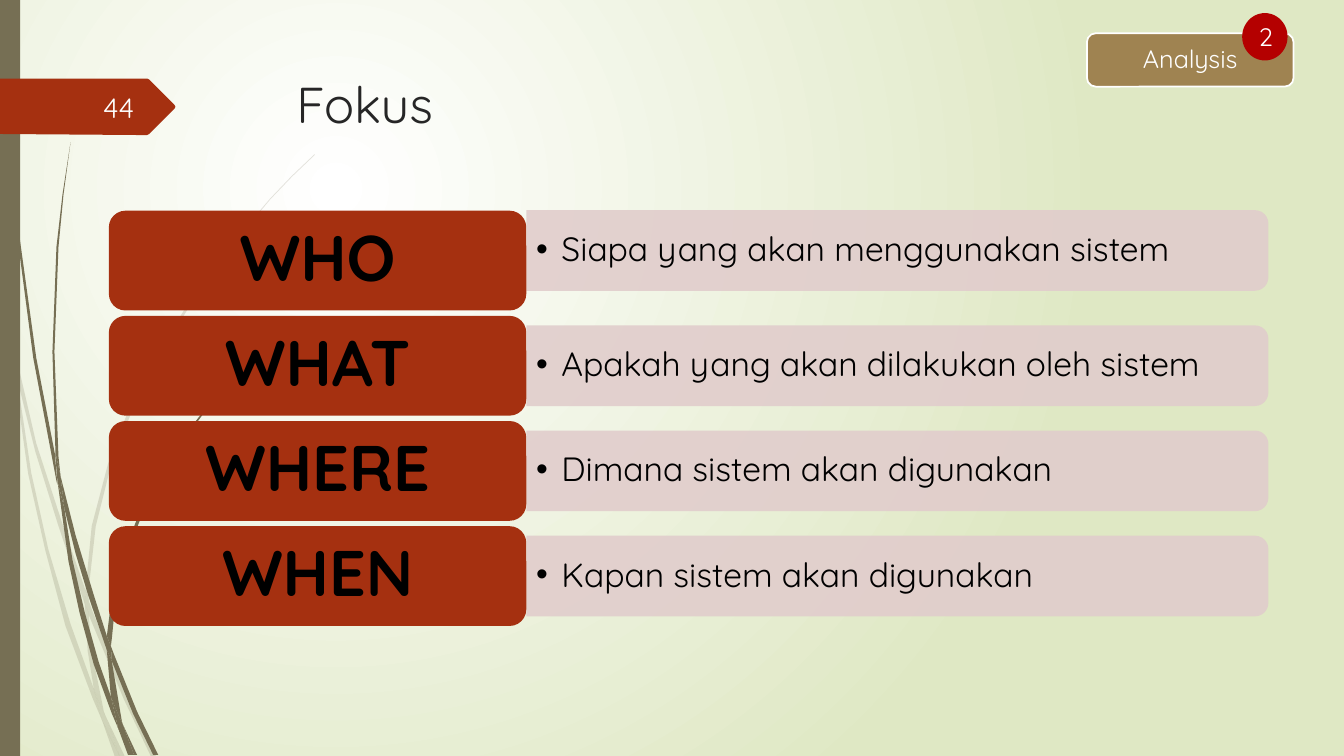
from lxml import etree
from pptx import Presentation
from pptx.dml.color import RGBColor
from pptx.enum.shapes import MSO_SHAPE
from pptx.enum.text import MSO_ANCHOR, PP_ALIGN
from pptx.oxml.ns import qn
from pptx.util import Inches, Pt

RECT, ROUND, OVAL = MSO_SHAPE.RECTANGLE, MSO_SHAPE.ROUNDED_RECTANGLE, MSO_SHAPE.OVAL
ROUND_END = MSO_SHAPE.ROUND_2_SAME_RECTANGLE
LEFT, CENTER, RIGHT = PP_ALIGN.LEFT, PP_ALIGN.CENTER, PP_ALIGN.RIGHT
TOP, MIDDLE = MSO_ANCHOR.TOP, MSO_ANCHOR.MIDDLE

FONT = "Quicksand"
COLORS = {
    "glow": "FFFFFF", "field": "DFE8C4", "stem": "766F54", "rust": "A53010",
    "bar": "E1CDCC", "tag": "9F8351", "badge": "B40000", "title": "262626",
    "black": "000000", "white": "FFFFFF", "number": "FEFFFF",
}
QUESTIONS = [
    ("WHO", "Siapa yang akan menggunakan sistem"),
    ("WHAT", "Apakah yang akan dilakukan oleh sistem"),
    ("WHERE", "Dimana sistem akan digunakan"),
    ("WHEN", "Kapan sistem akan digunakan"),
]
PALE_STEMS = [
    [(0.11, 3.5), (0.09, 3.22), (0, 2.82), (0, 2.99), (0.1, 3.44)],
    [(0.58, 5.22), (0.84, 5.99), (0.85, 5.86), (0.62, 5.2), (0.36, 4.4), (0.14, 3.45),
     (0.17, 3.76), (0.35, 4.48)],
    [(0.92, 6.07), (0.88, 5.96), (0.88, 6.1), (1.23, 6.94), (1.5, 7.51), (1.55, 7.51),
     (1.27, 6.92)],
    [(1.19, 7.51), (1.24, 7.51), (1.05, 7.11)],
    [(0.93, 6.83), (0.7, 6.19), (0.48, 5.45), (0.31, 4.69), (0.17, 3.76), (0.11, 3.5),
     (0.28, 4.7), (0.45, 5.46), (0.65, 6.21), (0.92, 6.93), (1.01, 7.14), (0.99, 7.07)],
    [(0.84, 5.99), (0.87, 6.46), (0.93, 6.83), (0.96, 6.92), (1.05, 7.11), (1.03, 7.06),
     (0.91, 6.46), (0.88, 6.1), (0.88, 6.08)],
    [(0.88, 5.84), (0.95, 5.22), (1.1, 4.62), (1.32, 4.05), (1.6, 3.49), (1.93, 2.96),
     (2.29, 2.45), (2.68, 1.98), (2.9, 1.75), (3.12, 1.54), (3.12, 1.53), (2.89, 1.75),
     (2.68, 1.97), (2.28, 2.44), (1.91, 2.94), (1.58, 3.48), (1.29, 4.03), (1.07, 4.61),
     (0.91, 5.22), (0.85, 5.84), (0.85, 5.86), (0.88, 5.96)],
    [(1.01, 7.14), (1.14, 7.51), (1.19, 7.51)],
    [(0.88, 6.08), (0.88, 6.1), (0.88, 5.96), (0.85, 5.86), (0.84, 5.99)],
    [(0.96, 6.92), (0.93, 6.83), (0.99, 7.07), (1.01, 7.14), (1.19, 7.51), (1.05, 7.11)],
]
DARK_STEMS = [
    [(0.07, 1.1), (0.17, 2.33), (0.33, 3.55), (0.56, 4.77), (0.57, 4.81), (0.55, 4.57),
     (0.55, 4.53), (0.36, 3.55), (0.19, 2.32), (0.08, 1.09), (0.05, 0.48), (0.04, 0),
     (0.03, 0), (0.04, 0.48)],
    [(0.88, 5.92), (1.06, 6.45), (1.06, 6.33), (1.06, 6.31), (0.93, 5.9), (0.75, 5.31),
     (0.6, 4.72), (0.64, 5.05), (0.75, 5.49)],
    [(1.13, 6.49), (1.1, 6.41), (1.11, 6.56), (1.32, 7.08), (1.52, 7.49), (1.57, 7.49),
     (1.36, 7.06)],
    [(1.1, 6.91), (0.98, 6.57), (0.84, 6.07), (0.72, 5.56), (0.64, 5.05), (0.57, 4.77),
     (0.68, 5.57), (0.79, 6.08), (0.93, 6.59), (1.11, 7.08), (1.17, 7.22), (1.16, 7.17)],
    [(0.6, 4.72), (0.58, 4.53), (0.54, 3.49), (0.58, 2.45), (0.63, 1.93), (0.7, 1.41),
     (0.62, 1.93), (0.56, 2.45), (0.52, 3.49), (0.55, 4.49)],
    [(1.33, 7.49), (1.36, 7.49), (1.22, 7.19)],
    [(0.57, 4.77), (0.64, 5.05), (0.6, 4.72), (0.55, 4.49), (0.55, 4.53)],
    [(1.11, 6.33), (1.15, 5.92), (1.25, 5.52), (1.4, 5.13), (1.58, 4.76), (1.8, 4.4),
     (2.05, 4.06), (2.31, 3.74), (2.45, 3.59), (2.61, 3.44), (2.45, 3.58), (2.31, 3.73),
     (2.04, 4.05), (1.78, 4.39), (1.56, 4.74), (1.37, 5.12), (1.22, 5.51), (1.11, 5.91),
     (1.06, 6.31), (1.1, 6.41)],
    [(1.17, 7.22), (1.27, 7.49), (1.31, 7.49)],
    [(1.06, 6.45), (1.1, 6.91), (1.16, 7.06), (1.22, 7.19), (1.21, 7.16), (1.11, 6.56),
     (1.09, 6.51)],
    [(1.06, 6.45), (1.09, 6.51), (1.11, 6.56), (1.1, 6.41), (1.06, 6.31), (1.06, 6.33)],
    [(1.16, 7.06), (1.1, 6.91), (1.16, 7.17), (1.17, 7.22), (1.3, 7.49), (1.33, 7.49),
     (1.22, 7.19)],
]
ARROW_TAB = [(0, 0.78), (1.46, 0.78), (1.48, 0.79), (1.73, 1.04), (1.74, 1.06),
             (1.73, 1.08), (1.48, 1.33), (1.46, 1.34), (1.36, 1.34), (0, 1.33)]


def rgb(name):
    return RGBColor.from_string(COLORS[name])


def paint(sp, color, alpha=100):
    """Flat fill without outline or shadow; alpha is opacity in percent."""
    sp.shadow.inherit = False
    sp.fill.solid()
    sp.fill.fore_color.rgb = rgb(color)
    sp.line.fill.background()
    if alpha < 100:
        clr = sp.fill._xPr.find(".//" + qn("a:srgbClr"))
        etree.SubElement(clr, qn("a:alpha"), val=str(alpha * 1000))


def add_block(slide, kind, box, color, alpha=100):
    sp = slide.shapes.add_shape(kind, *map(Inches, box))
    paint(sp, color, alpha)
    return sp


def add_outline(slide, points, color, alpha=100):
    start, *rest = [(Inches(x), Inches(y)) for x, y in points]
    builder = slide.shapes.build_freeform(*start)
    builder.add_line_segments(rest, close=True)
    paint(builder.convert_to_shape(), color, alpha)


def write(sp, text, size, color, align=CENTER, anchor=MIDDLE, bold=False,
          margins=(0.1, 0.05), spacing=1.0):
    tf = sp.text_frame
    dx, dy = map(Inches, margins)
    frame = {"word_wrap": True, "vertical_anchor": anchor, "margin_left": dx,
             "margin_right": dx, "margin_top": dy, "margin_bottom": dy}
    for name, value in frame.items():
        setattr(tf, name, value)
    p = tf.paragraphs[0]
    p.alignment, p.line_spacing = align, spacing
    r = p.add_run()
    r.text = text
    for name, value in {"name": FONT, "size": Pt(size), "bold": bold}.items():
        setattr(r.font, name, value)
    r.font.color.rgb = rgb(color)
    return p


def add_text(slide, box, *args, **formats):
    return write(slide.shapes.add_textbox(*map(Inches, box)), *args, **formats)


def add_bullet(p):
    pPr = p._p.get_or_add_pPr()
    pPr.set("marL", str(Inches(0.25)))
    pPr.set("indent", str(-Inches(0.25)))
    etree.SubElement(pPr, qn("a:buFont"), typeface="Arial")
    etree.SubElement(pPr, qn("a:buChar"), char="•")


def add_background(slide):
    """Circular glow centred in the upper left."""
    fill = slide.background.fill
    fill.gradient()
    for stop, name in zip(fill.gradient_stops, ("glow", "field")):
        stop.color.rgb = rgb(name)
    lin = slide.element.find(".//" + qn("a:lin"))
    circle = etree.Element(qn("a:path"), path="circle")
    etree.SubElement(circle, qn("a:fillToRect"), l="50000", t="50000", r="100000", b="100000")
    lin.getparent().replace(lin, circle)


def add_decoration(slide):
    for stems, alpha in ((PALE_STEMS, 20), (DARK_STEMS, 100)):
        for points in stems:
            add_outline(slide, points, "stem", alpha)
    add_block(slide, RECT, (0, 0, 0.2, 7.5), "stem")
    add_outline(slide, ARROW_TAB, "rust")


def add_question_list(slide, left, top, width, height):
    label_w, label_h, bar_h = 4.14, 0.99, 0.8
    pitch = (height - label_h) / (len(QUESTIONS) - 1)
    bar_w = width - label_w
    bar_left = left + label_w
    for i, (word, answer) in enumerate(QUESTIONS):
        y = top + i * pitch
        middle = y + label_h / 2
        bar_middle = middle if i else middle - 0.1
        bar = add_block(slide, ROUND_END, (bar_left + (bar_w - bar_h) / 2,
                        bar_middle - bar_w / 2, bar_h, bar_w), "bar", 90)
        bar.rotation = 90
        add_bullet(add_text(slide, (bar_left, bar_middle - 0.36, bar_w - 0.04, 0.72),
                            answer, 24, "black", align=LEFT, spacing=0.9))
        label = add_block(slide, ROUND, (left, y, label_w, label_h), "rust")
        write(label, word, 46, "black", bold=True, margins=(0.19, 0.1), spacing=0.9)


def add_phase_tag(slide, left, top, width, height):
    tag = add_block(slide, ROUND, (left, top, width, height), "tag")
    tag.line.color.rgb = rgb("white")
    tag.line.width = Pt(1.25)
    write(tag, "Analysis", 18, "white", margins=(0.07, 0.07), spacing=0.9)
    badge = add_block(slide, OVAL, (left + width - 0.51, top - 0.2, 0.45, 0.47), "badge")
    write(badge, "2", 18, "white")


def main():
    prs = Presentation()
    prs.slide_width, prs.slide_height = Inches(13.33), Inches(7.5)
    slide = prs.slides.add_slide(prs.slide_layouts[6])
    add_background(slide)
    add_decoration(slide)
    add_text(slide, (2.84, 0.68, 9.75, 1.4), "Fokus", 36, "title", align=LEFT, anchor=TOP)
    add_question_list(slide, 1.08, 2.09, 11.5, 4.12)
    add_text(slide, (0.58, 0.86, 0.85, 0.4), "44", 20, "number", align=RIGHT)
    add_phase_tag(slide, 10.78, 0.33, 2.05, 0.53)
    prs.save("out.pptx")


if __name__ == "__main__":
    main()
